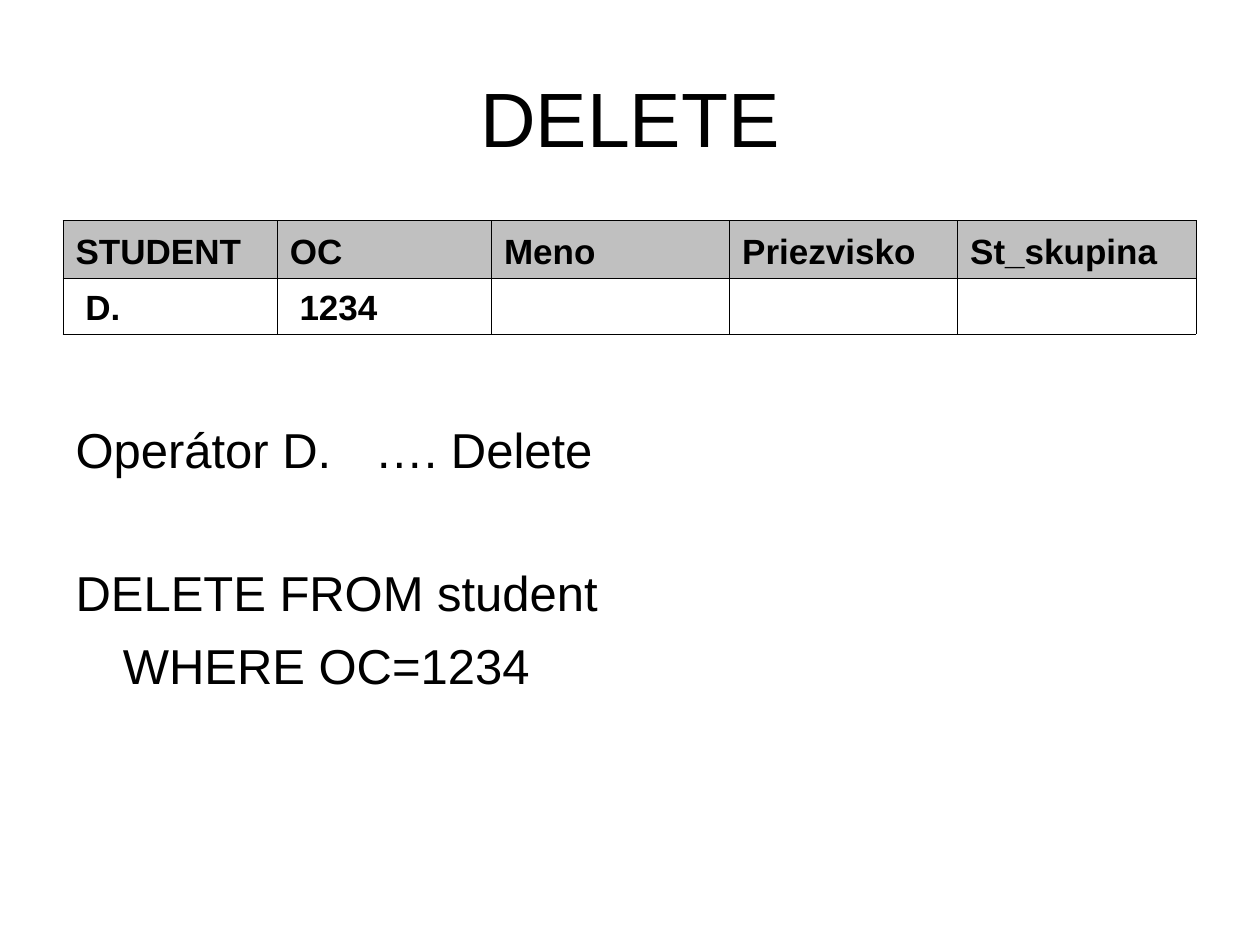
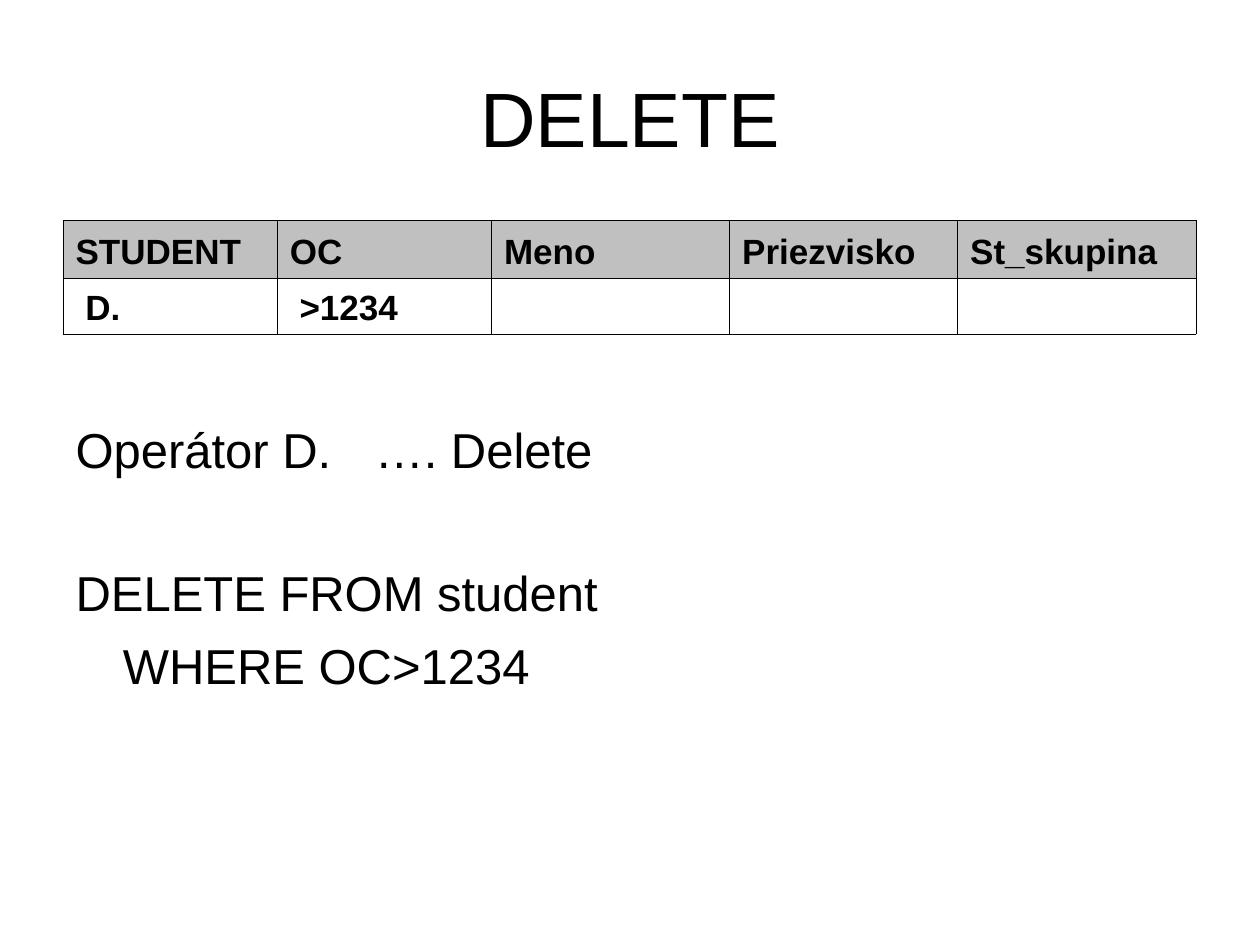
"""Build two slides on the QBE operator D. and its SQL DELETE equivalent."""
from lxml import etree
from pptx import Presentation
from pptx import util as u
from pptx.dml.color import RGBColor
from pptx.enum import text
from pptx.oxml.ns import qn

COLOURS = {"ink": "000000", "header": "C0C0C0"}
COLUMNS = {"STUDENT": 122.4, "OC": 122.4, "Meno": 136.1, "Priezvisko": 130.3, "St_skupina": 136.2}
ROW_HEIGHTS = (33.1, 31.7)
LEFT, WIDTH, INDENT, OPERATOR_TAB = 36, 648, 27, 216
THIN, RULE = 0.45, 0.96


class Deck:
    """Holds the shared style and the current slide."""

    def __init__(self):
        self.presentation = Presentation()
        self.presentation.slide_width, self.presentation.slide_height = u.Pt(720), u.Pt(540)
        self.slide = None

    def add_slide(self):
        self.slide = self.presentation.slides.add_slide(self.presentation.slide_layouts[1])

    def apply(self, target, values):
        for name, value in values.items():
            setattr(target, name, value)

    def add_text(self, paragraph, words, size, bold=False):
        run = paragraph.add_run()
        run.text = words
        self.apply(run.font, {"name": "Arial", "size": u.Pt(size), "bold": bold})
        run.font.color.rgb = RGBColor.from_string(COLOURS["ink"])

    def place(self, shape, top, height, anchor):
        self.apply(shape, {"left": u.Pt(LEFT), "top": u.Pt(top),
                           "width": u.Pt(WIDTH), "height": u.Pt(height)})
        self.apply(shape.text_frame, {"vertical_anchor": anchor, "word_wrap": True,
                                      "auto_size": text.MSO_AUTO_SIZE.NONE})

    def title(self, words):
        shape = self.slide.shapes.title
        self.place(shape, 21.6, 90, text.MSO_ANCHOR.MIDDLE)
        paragraph = shape.text_frame.paragraphs[0]
        paragraph.alignment = text.PP_ALIGN.CENTER
        self.add_text(paragraph, words, 44)

    def border(self, cell, widths):
        properties = cell._tc.get_or_add_tcPr()
        for position, (side, width) in enumerate(widths.items()):
            line = etree.Element(qn(f"a:ln{side}"), w=str(u.Pt(width)))
            fill = etree.SubElement(line, qn("a:solidFill"))
            etree.SubElement(fill, qn("a:srgbClr"), val=COLOURS["ink"])
            properties.insert(position, line)

    def table(self, values):
        frame = self.slide.shapes.add_table(2, len(COLUMNS), u.Pt(LEFT), u.Pt(126),
                                            u.Pt(sum(COLUMNS.values())), u.Pt(sum(ROW_HEIGHTS)))
        table = frame.table
        self.apply(table, {"first_row": False, "horz_banding": False})
        for row, height in zip(table.rows, ROW_HEIGHTS):
            row.height = u.Pt(height)
        for index, (name, width) in enumerate(COLUMNS.items()):
            table.columns[index].width = u.Pt(width)
            header, entry = table.cell(0, index), table.cell(1, index)
            header.fill.solid()
            header.fill.fore_color.rgb = RGBColor.from_string(COLOURS["header"])
            entry.fill.background()
            self.border(header, {"L": THIN, "R": THIN, "T": THIN, "B": RULE})
            self.border(entry, {"L": THIN, "R": THIN, "T": RULE, "B": THIN})
            for cell, words in ((header, name), (entry, values.get(name))):
                cell.vertical_anchor = text.MSO_ANCHOR.BOTTOM
                if words:
                    self.add_text(cell.text_frame.paragraphs[0], words, 20, bold=True)

    def body(self, lines):
        shape = self.slide.placeholders[1]
        self.place(shape, 236.2, 272.2, text.MSO_ANCHOR.TOP)
        frame = shape.text_frame
        for index, (words, gap, hanging) in enumerate(lines):
            paragraph = frame.add_paragraph() if index else frame.paragraphs[0]
            paragraph.space_before = u.Pt(gap)
            self.add_text(paragraph, words, 28)
            properties = paragraph._p.get_or_add_pPr()
            properties.set("marL", str(u.Pt(INDENT)))
            properties.set("indent", str(u.Pt(-hanging)))
            etree.SubElement(properties, qn("a:buNone"))
            tabs = etree.SubElement(properties, qn("a:tabLst"))
            etree.SubElement(tabs, qn("a:tab"), pos=str(u.Pt(OPERATOR_TAB)), algn="l")


deck = Deck()
for entry, condition in (("1234", "OC=1234"), (">1234", "OC>1234")):
    deck.add_slide()
    deck.title("DELETE")
    deck.table({"STUDENT": "\u00a0D.", "OC": "\u00a0" + entry})
    deck.body([("Operátor D.\t…. Delete", 8, INDENT),
               ("DELETE FROM student", 48, INDENT),
               (f"WHERE {condition}", 8, 0)])
deck.presentation.save("out.pptx")
